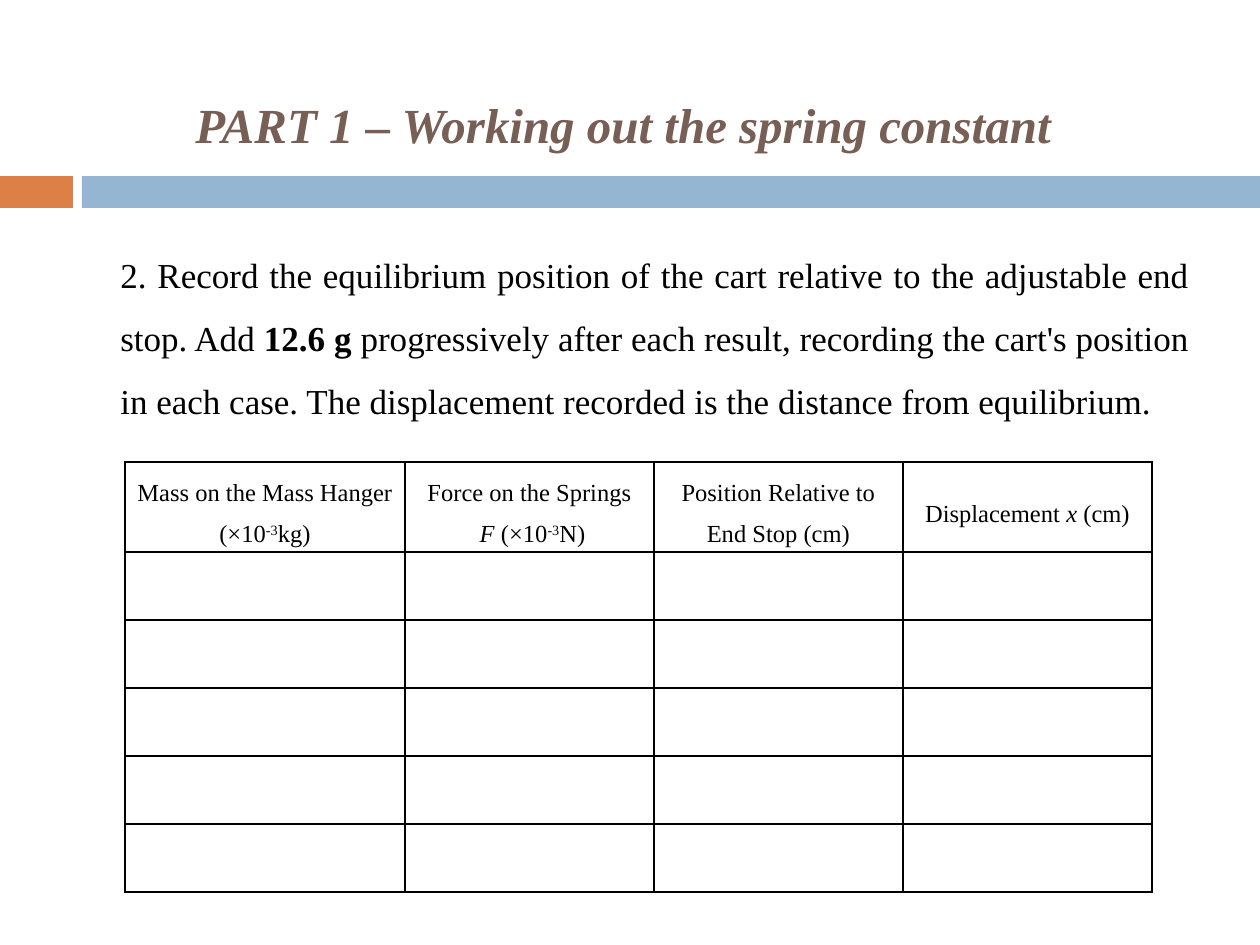
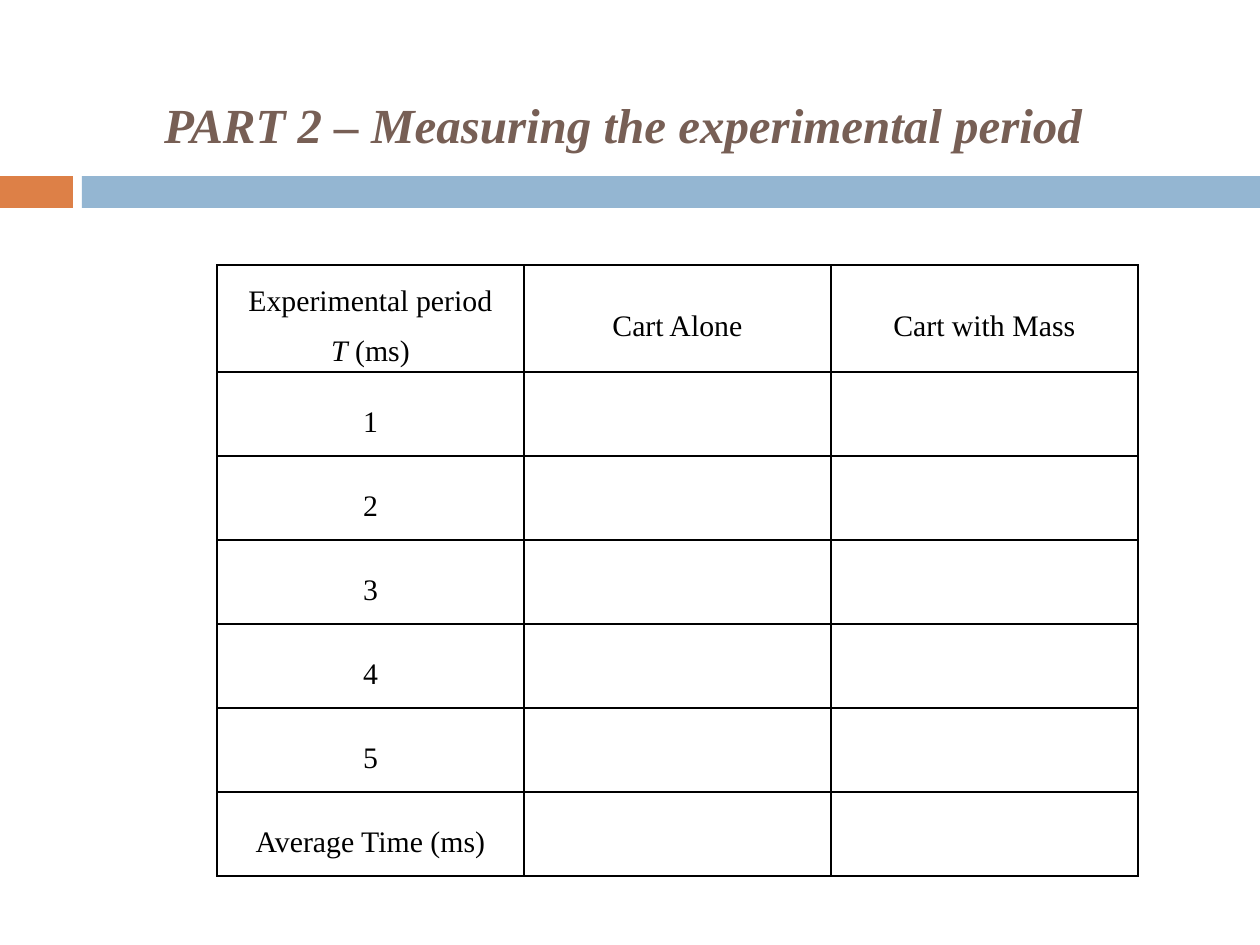
from lxml.etree import SubElement as Sub
from pptx import Presentation
from pptx.dml.color import RGBColor
from pptx.enum.shapes import MSO_SHAPE as Shape
from pptx.enum.text import MSO_ANCHOR as Anchor, MSO_AUTO_SIZE as Fit, PP_ALIGN as Align
from pptx.oxml.ns import qn
from pptx.util import Pt

SCALE = 914400 / 126
ORANGE = RGBColor(0xDD, 0x80, 0x47)
BLUE = RGBColor(0x94, 0xB6, 0xD2)
BROWN = RGBColor(0x77, 0x5F, 0x55)
BLACK = RGBColor(0, 0, 0)
FACE = "Times New Roman"
BANDS = [(0, 73, ORANGE), (82, 1178, BLUE)]
TITLE = {"size": Pt(28), "bold": True, "italic": True}
BOLD = {"bold": True}
ITALIC = {"italic": True}
SUPER = "super"


def px(num):
    return round(num * SCALE)


def style(font, color, form):
    values = {"name": FACE, "bold": False, "italic": False, **form}
    for key, value in values.items():
        setattr(font, key, value)
    font.color.rgb = color


def write(para, parts, size, align, color=BLACK, form={}, space=1.5):
    para.alignment = align
    para.line_spacing = space
    for part in parts:
        text, mark = part if isinstance(part, tuple) else (part, {})
        run = para.add_run()
        run.text = text
        extra = {} if mark == SUPER else mark
        style(run.font, color, {"size": Pt(size), **form, **extra})
        if mark == SUPER:
            run.font._element.set("baseline", "30000")


def add_slide(deck, title):
    slide = deck.slides.add_slide(deck.slide_layouts[5])
    for left, width, color in BANDS:
        band = slide.shapes.add_shape(Shape.RECTANGLE, px(left), px(176), px(width), px(32))
        band.shadow.inherit = False
        band.fill.solid()
        band.fill.fore_color.rgb = color
        band.line.fill.background()
    head = slide.shapes.title
    head.left, head.top, head.width, head.height = map(px, (35, 56, 1176, 136))
    frame = head.text_frame
    frame.auto_size = Fit.NONE
    frame.vertical_anchor = Anchor.MIDDLE
    write(frame.paragraphs[0], [title], 28, Align.CENTER, BROWN, TITLE, 1.0)
    return slide


def add_text(slide, box, parts, size):
    frame = slide.shapes.add_textbox(*map(px, box)).text_frame
    frame.word_wrap = True
    frame.auto_size = Fit.SHAPE_TO_FIT_TEXT
    write(frame.paragraphs[0], parts, size, Align.JUSTIFY)


def rule_cell(cell):
    props = cell._tc.get_or_add_tcPr()
    for side in ("lnL", "lnR", "lnT", "lnB"):
        line = Sub(props, qn(f"a:{side}"), w=str(Pt(1)))
        fill = Sub(line, qn("a:solidFill"))
        Sub(fill, qn("a:srgbClr"), val=str(BLACK))


def fill_cell(cell, lines, size, pad):
    rule_cell(cell)
    cell.fill.background()
    form = {"vertical_anchor": Anchor.MIDDLE, "margin_left": px(pad),
            "margin_right": px(pad), "margin_top": 0, "margin_bottom": 0}
    for key, value in form.items():
        setattr(cell, key, value)
    frame = cell.text_frame
    for index, parts in enumerate(lines):
        para = frame.add_paragraph() if index else frame.paragraphs[0]
        write(para, parts, size, Align.CENTER)


def add_grid(slide, left, top, widths, heights, rows, size, pad):
    table = slide.shapes.add_table(
        len(heights), len(widths), px(left), px(top),
        px(sum(widths)), px(sum(heights))).table
    table.first_row = table.horz_banding = False
    for col, width in zip(table.columns, widths):
        col.width = px(width)
    for row, height, cells in zip(table.rows, heights, rows):
        row.height = px(height)
        for cell, lines in zip(row.cells, cells):
            fill_cell(cell, lines, size, pad)


def spring_slide(deck):
    slide = add_slide(deck, "PART 1 – Working out the spring constant")
    add_text(slide, (108, 226, 1094, 197), [
        "2. Record the equilibrium position of the cart relative to the "
        "adjustable end stop. Add ",
        ("12.6 g", BOLD),
        " progressively after each result, recording the cart's position in "
        "each case. The displacement recorded is the distance from equilibrium.",
    ], 20)
    heads = [
        [["Mass on the Mass Hanger (×10", ("-3", SUPER), "kg)"]],
        [["Force on the Springs"],
         [" ", ("F", ITALIC), " (×10", ("-3", SUPER), "N)"]],
        [["Position Relative to End Stop (cm)"]],
        [["Displacement ", ("x", ITALIC), " (cm)"]],
    ]
    rows = [heads] + [[[]] * 4] * 5
    add_grid(slide, 125, 462, [280] + [249] * 3, [90] + [68] * 5, rows, 14, 11)


def period_slide(deck):
    slide = add_slide(deck, "PART 2 – Measuring the experimental period")
    heads = [
        [["Experimental period"], [("T", ITALIC), " (ms)"]],
        [["Cart Alone"]],
        [["Cart with Mass"]],
    ]
    labels = [str(num) for num in range(1, 6)] + ["Average Time (ms)"]
    rows = [heads] + [[[[label]], [], []] for label in labels]
    add_grid(slide, 217, 265, [307] * 3, [107] + [84] * 6, rows, 17, 14)


def main():
    deck = Presentation()
    deck.slide_width, deck.slide_height = px(1260), px(945)
    spring_slide(deck)
    period_slide(deck)
    deck.save("out.pptx")


if __name__ == "__main__":
    main()
